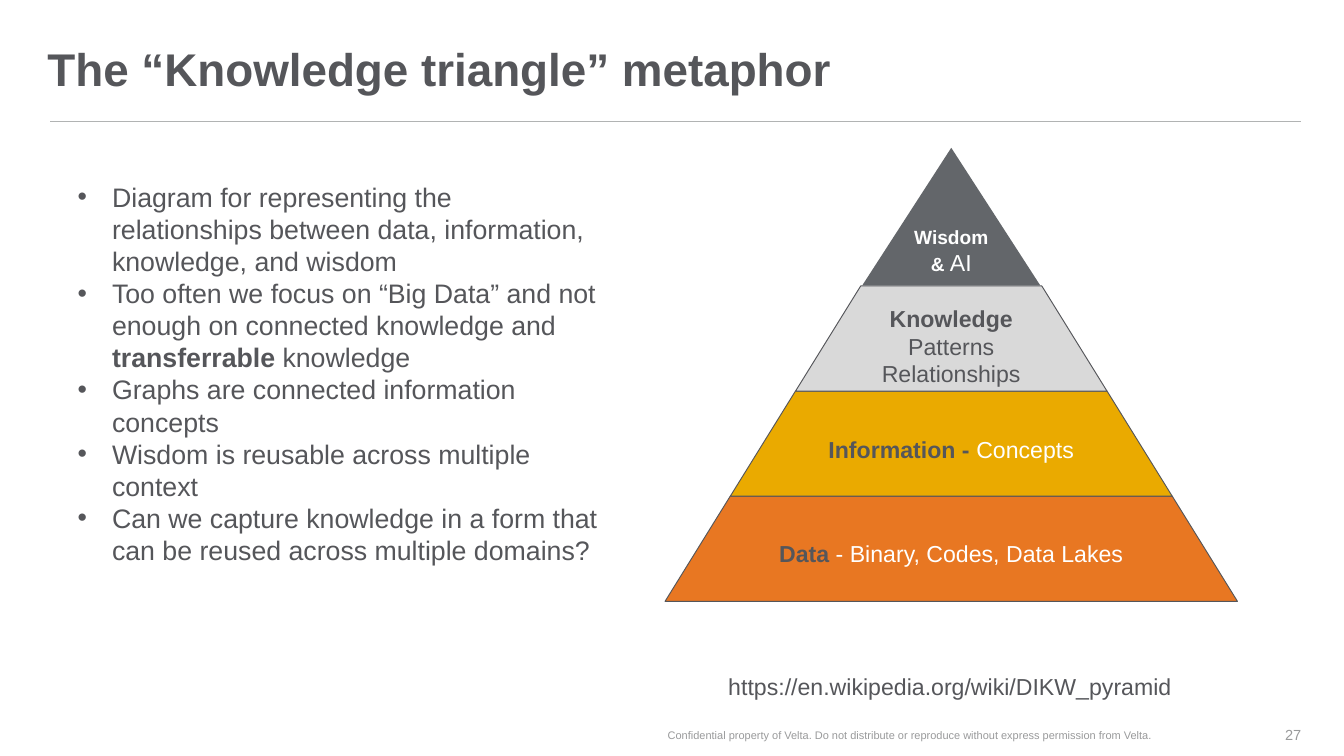
from lxml import etree
from pptx import Presentation
from pptx import util as u
from pptx.dml.color import RGBColor
from pptx.enum import shapes, text
from pptx.oxml.ns import qn

GREY, WHITE, PALE = "55565A", "FFFFFF", "999A9B"
LEFT, CENTER, RIGHT = text.PP_ALIGN.LEFT, text.PP_ALIGN.CENTER, text.PP_ALIGN.RIGHT
TOP, MIDDLE, BOTTOM = text.MSO_ANCHOR.TOP, text.MSO_ANCHOR.MIDDLE, text.MSO_ANCHOR.BOTTOM
INSET, FLUSH = (0.1, 0.05), (0, 0)


def color(value):
    return RGBColor.from_string(value)


class Deck:
    font = "Arial"
    size = 24.2

    def __init__(self, width, height):
        self.prs = Presentation()
        self.prs.slide_width = u.Inches(width)
        self.prs.slide_height = u.Inches(height)
        self.s = self.prs.slides.add_slide(self.prs.slide_layouts[1])

    def x(self, share):
        return round(self.prs.slide_width * share / 100)

    def y(self, share):
        return round(self.prs.slide_height * share / 100)

    def box(self, left, top, width, height):
        return self.x(left), self.y(top), self.x(width), self.y(height)

    def add_text(self, sp, paragraphs, align=LEFT, anchor=TOP, inset=INSET):
        tf = sp.text_frame
        tf.word_wrap = True
        tf.auto_size = text.MSO_AUTO_SIZE.NONE
        tf.vertical_anchor = anchor
        tf.margin_left = tf.margin_right = u.Inches(inset[0])
        tf.margin_top = tf.margin_bottom = u.Inches(inset[1])
        for i, runs in enumerate(paragraphs):
            p = tf.add_paragraph() if i else tf.paragraphs[0]
            p.alignment = align
            p.space_before = u.Pt(0)
            for words, size, fill, bold in runs:
                r = p.add_run()
                r.text = words
                r.font.name = self.font
                r.font.size = u.Pt(size)
                r.font.bold = bold
                r.font.color.rgb = color(fill)
        return tf

    def place(self, sp, box):
        sp.left, sp.top, sp.width, sp.height = self.box(*box)

    def title(self, box, words):
        sp = self.s.shapes.title
        self.place(sp, box)
        tf = self.add_text(sp, [[(words, 48, GREY, True)]], anchor=BOTTOM, inset=FLUSH)
        tf.paragraphs[0].line_spacing = 0.9

    def bullets(self, box, items):
        sp = self.s.placeholders[1]
        self.place(sp, box)
        tf = self.add_text(sp, [[(words, 28, GREY, bold) for words, bold in item] for item in items])
        for p in tf.paragraphs:
            pPr = p._p.get_or_add_pPr()
            pPr.set("marL", str(u.Inches(0.5)))
            pPr.set("indent", str(-u.Inches(0.5)))
            etree.SubElement(pPr, qn("a:buChar")).set("char", "•")

    def label(self, box, words, size, fill, **style):
        sp = self.s.shapes.add_textbox(*self.box(*box))
        self.add_text(sp, [[(words, size, fill, False)]], **style)

    def rule(self, left, right, top):
        sp = self.s.shapes.add_connector(
            shapes.MSO_CONNECTOR.STRAIGHT, self.x(left), self.y(top), self.x(right), self.y(top))
        sp.line.color.rgb = color("B1B3B3")
        sp.line.width = u.Pt(1)
        etree.SubElement(sp._element.spPr, qn("a:effectLst"))

    def layer(self, kind, box, fill, runs, line=None, slope=None, inset=INSET):
        sp = self.s.shapes.add_shape(kind, *self.box(*box))
        sp.shadow.inherit = False
        if slope:
            sp.adjustments[0] = slope
        sp.fill.solid()
        sp.fill.fore_color.rgb = color(fill)
        if line:
            sp.line.color.rgb = color(line)
            sp.line.width = u.Pt(1)
        else:
            sp.line.fill.background()
        self.add_text(sp, [runs], CENTER, MIDDLE, inset)

    def pyramid(self, center, base, base_width, step, height, bands):
        for i, (fill, runs) in enumerate(bands):
            width = base_width - i * step
            box = center - width / 2, base - (i + 1) * height, width, height
            self.layer(shapes.MSO_SHAPE.TRAPEZOID, box, fill, runs, GREY, 0.62)


def main():
    deck = Deck(19.56, 11)
    size = deck.size
    deck.rule(3.73, 96.83, 16.09)
    deck.title((3.53, 0, 92.79, 12.73), "The “Knowledge triangle” metaphor")
    deck.label((43.4, 94.55, 48.57, 5.36),
               "Confidential property of Velta. Do not distribute or reproduce "
               "without express permission from Velta.",
               11.5, PALE, align=CENTER, anchor=MIDDLE, inset=FLUSH)
    deck.label((92.38, 94.55, 4.45, 5.36), "27", 15.3, PALE,
               align=RIGHT, anchor=MIDDLE, inset=FLUSH)
    deck.label((53.68, 88.45, 42.64, 4.64),
               "https://en.wikipedia.org/wiki/DIKW_pyramid", size, GREY)
    deck.bullets((5.27, 23.45, 40.13, 56.64), [
        [("Diagram for representing the relationships between data, "
          "information, knowledge, and wisdom", False)],
        [("Too often we focus on “Big Data” and not enough on connected knowledge and ", False),
         ("transferrable", True), (" knowledge", False)],
        [("Graphs are connected information concepts", False)],
        [("Wisdom is reusable across multiple context", False)],
        [("Can we capture knowledge in a form that can be reused across multiple domains?", False)],
    ])
    deck.pyramid(70.78, 79.55, 42.59, 9.71, 13.91, [
        ("E87722", [("Data", size, GREY, True),
                    (" - Binary, Codes, Data Lakes", size, WHITE, False)]),
        ("EAAA00", [("Information - ", size, GREY, True), ("Concepts", size, WHITE, False)]),
        ("D9D9D9", [("Knowledge", size, GREY, True),
                    (" Patterns Relationships", size, GREY, False)]),
    ])
    deck.layer(shapes.MSO_SHAPE.ISOSCELES_TRIANGLE, (64.16, 19.55, 13.24, 18.2), "63666A",
               [("Wisdom & ", 20, WHITE, True), ("AI", size, WHITE, False)], inset=(0, 0.05))
    deck.prs.save("out.pptx")


if __name__ == "__main__":
    main()
